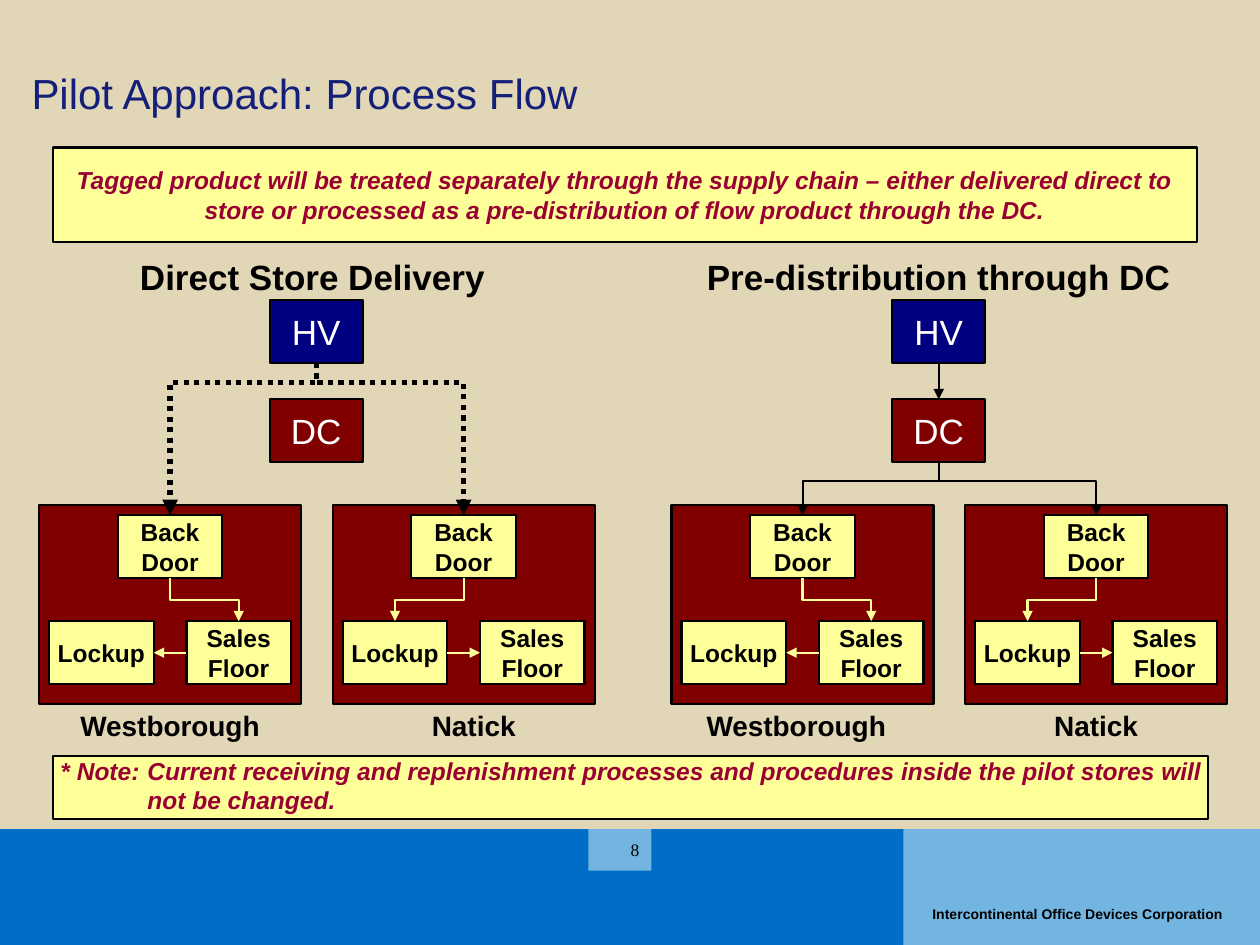
from pptx import Presentation
from pptx.dml.color import RGBColor
from pptx.enum.dml import MSO_LINE
from pptx.enum.shapes import MSO_CONNECTOR as LINK, MSO_SHAPE
from pptx.enum.text import MSO_ANCHOR as ANCHOR, PP_ALIGN as ALIGN
from pptx.oxml.ns import qn
from pptx.util import Inches, Pt
from lxml.etree import SubElement

COLORS = {
    "sand": "E1D6B5", "band": "006EC7", "panel": "73B5E1", "title": "141F79",
    "navy": "000080", "maroon": "800000", "yellow": "FFFF99",
    "crimson": "990033", "black": "000000", "white": "FFFFFF",
}
BOTTOM, LEFT, TOP, RIGHT = 2, 1, 0, 3
STORE_TOP, STORE_W, STORE_H = 4.01, 2.08, 1.58
STEP_W, STEP_H = 0.83, 0.5
HUB_W, HUB_H = 0.74, 0.5


def color(name):
    return RGBColor.from_string(COLORS[name])


def write(shape, lines, size, ink, bold=False, italic=False, align=ALIGN.CENTER,
          anchor=ANCHOR.MIDDLE, font="Arial", wrap=True):
    frame = shape.text_frame
    frame.word_wrap = wrap
    frame.vertical_anchor = anchor
    frame.margin_left = frame.margin_right = frame.margin_top = frame.margin_bottom = 0
    for i, line in enumerate(lines):
        paragraph = frame.add_paragraph() if i else frame.paragraphs[0]
        paragraph.alignment = align
        run = paragraph.add_run()
        run.text = line
        run.font.name, run.font.size = font, Pt(size)
        run.font.bold, run.font.italic = bold, italic
        run.font.color.rgb = color(ink)


def box(slide, x, y, w, h, fill, outlined=True):
    shape = slide.shapes.add_shape(
        MSO_SHAPE.RECTANGLE, Inches(x), Inches(y), Inches(w), Inches(h))
    shape.shadow.inherit = False
    shape.fill.solid()
    shape.fill.fore_color.rgb = color(fill)
    if outlined:
        shape.line.color.rgb = color("black")
        shape.line.width = Pt(1.25)
    else:
        shape.line.fill.background()
    return shape


def label(slide, x, y, w, h, text, size, **style):
    area = slide.shapes.add_textbox(Inches(x), Inches(y), Inches(w), Inches(h))
    write(area, [text], size, "black", **style)


def style_arrow(arrow, ink, width=1.25, dotted=False):
    arrow.line.color.rgb = color(ink)
    arrow.line.width = Pt(width)
    if dotted:
        arrow.line.dash_style = MSO_LINE.ROUND_DOT
    SubElement(arrow.line._get_or_add_ln(), qn("a:tailEnd"), type="triangle")
    SubElement(arrow._element.spPr, qn("a:effectLst"))


def straight_arrow(slide, source, source_side, target, target_side, ink):
    arrow = slide.shapes.add_connector(LINK.STRAIGHT, 0, 0, 0, 0)
    arrow.begin_connect(source, source_side)
    arrow.end_connect(target, target_side)
    style_arrow(arrow, ink)


def elbow_arrow(slide, source, target, ink, bend=0.5, **style):
    """Run from the bottom of source to the top of target: down, across, down."""
    x1, y1 = source.left + source.width // 2, source.top + source.height
    x2, y2 = target.left + target.width // 2, target.top
    drop, shift = y2 - y1, abs(x2 - x1)
    left, top = (x1 + x2 - drop) // 2, (y1 + y2 - shift) // 2
    arrow = slide.shapes.add_connector(
        LINK.ELBOW, left, top, left + drop, top + shift)
    # The preset bends sideways first, so it is turned a quarter.
    properties = arrow._element.spPr
    frame = properties.find(qn("a:xfrm"))
    if x2 < x1:
        frame.set("rot", str(90 * 60000))
    else:
        frame.set("rot", str(270 * 60000))
        frame.set("flipH", "1")
    guides = properties.find(qn("a:prstGeom")).get_or_add_avLst()
    SubElement(guides, qn("a:gd"), name="adj1", fmla=f"val {round(bend * 100000)}")
    style_arrow(arrow, ink, **style)


def hub(slide, center, y, text, fill):
    shape = box(slide, center - HUB_W / 2, y, HUB_W, HUB_H, fill)
    write(shape, [text], 20, "white")
    return shape


def step(slide, x, y, lines):
    shape = box(slide, x, y, STEP_W, STEP_H, "yellow")
    write(shape, lines, 14, "black", bold=True)
    return shape


def store(slide, x, name, name_center, lockup_first):
    """Draw one store and return its back door."""
    box(slide, x, STORE_TOP, STORE_W, STORE_H, "maroon")
    back_door = step(slide, x + (STORE_W - STEP_W) / 2, STORE_TOP + 0.08, ["Back Door"])
    lockup = step(slide, x + 0.08, STORE_TOP + 0.92, ["Lockup"])
    floor = step(slide, x + STORE_W - 0.08 - STEP_W, STORE_TOP + 0.92, ["Sales", "Floor"])
    if lockup_first:
        elbow_arrow(slide, back_door, lockup, "yellow")
        straight_arrow(slide, lockup, RIGHT, floor, LEFT, "yellow")
    else:
        elbow_arrow(slide, back_door, floor, "yellow")
        straight_arrow(slide, floor, LEFT, lockup, RIGHT, "yellow")
    label(slide, name_center - 0.72, 5.62, 1.44, 0.27, name, 16, bold=True, wrap=False)
    return back_door


def flow(slide, heading, heading_center, store_x, name_centers, through_dc):
    label(slide, heading_center - 1.84, 2.03, 3.68, 0.33, heading, 20, bold=True, wrap=False)
    center = store_x + (STORE_W * 2 + 0.26) / 2 + (-0.09 if through_dc else -0.01)
    supplier = hub(slide, center, 2.38, "HV", "navy")
    dc = hub(slide, center, 3.17, "DC", "maroon")
    doors = [
        store(slide, store_x, "Westborough", name_centers[0], lockup_first=False),
        store(slide, store_x + 2.33, "Natick", name_centers[1], lockup_first=True),
    ]
    if through_dc:
        straight_arrow(slide, supplier, BOTTOM, dc, TOP, "black")
    for door in doors:
        if through_dc:
            elbow_arrow(slide, dc, door, "black", bend=0.35)
        else:
            elbow_arrow(slide, supplier, door, "black", bend=0.13, width=3, dotted=True)


def footer(slide):
    box(slide, 0, 6.58, 10, 0.92, "band", outlined=False)
    box(slide, 7.17, 6.58, 2.83, 0.92, "panel", outlined=False)
    box(slide, 4.67, 6.58, 0.5, 0.33, "panel", outlined=False)
    label(slide, 7.4, 7.19, 2.5, 0.14, "Intercontinental Office Devices Corporation", 8,
          bold=True, align=ALIGN.LEFT, anchor=ANCHOR.TOP, wrap=False)
    label(slide, 4.91, 6.62, 0.26, 0.25, "8", 10, font="Times New Roman")


def title(slide):
    heading = slide.shapes.title
    heading.left, heading.top = Inches(0.25), Inches(0.08)
    heading.width, heading.height = Inches(9.5), Inches(0.86)
    write(heading, ["Pilot Approach: Process Flow"], 24, "title",
          align=ALIGN.LEFT, anchor=ANCHOR.BOTTOM)
    heading.text_frame.paragraphs[0].line_spacing = 0.9


def callouts(slide):
    message = box(slide, 0.42, 1.17, 9.08, 0.75, "yellow")
    write(message, ["Tagged product will be treated separately through the supply chain – "
                    "either delivered direct to store or processed as a pre-distribution "
                    "of flow product through the DC."],
          14, "crimson", bold=True, italic=True)
    note = box(slide, 0.42, 6, 9.17, 0.5, "yellow")
    write(note, ["* Note:\tCurrent receiving and replenishment processes and procedures "
                 "inside the pilot stores will not be changed."],
          14, "crimson", bold=True, italic=True, align=ALIGN.LEFT, anchor=ANCHOR.TOP)
    hanging = note.text_frame.paragraphs[0]._p.get_or_add_pPr()
    hanging.set("marL", str(Inches(0.75)))
    hanging.set("indent", str(Inches(-0.69)))


def main():
    deck = Presentation()
    deck.slide_width, deck.slide_height = Inches(10), Inches(7.5)
    slide = deck.slides.add_slide(deck.slide_layouts[5])
    slide.background.fill.solid()
    slide.background.fill.fore_color.rgb = color("sand")
    footer(slide)
    title(slide)
    flow(slide, "Direct Store Delivery", 2.48, 0.31, (1.35, 3.76), through_dc=False)
    flow(slide, "Pre-distribution through DC", 7.45, 5.33, (6.32, 8.7), through_dc=True)
    callouts(slide)
    deck.save("out.pptx")


if __name__ == "__main__":
    main()
